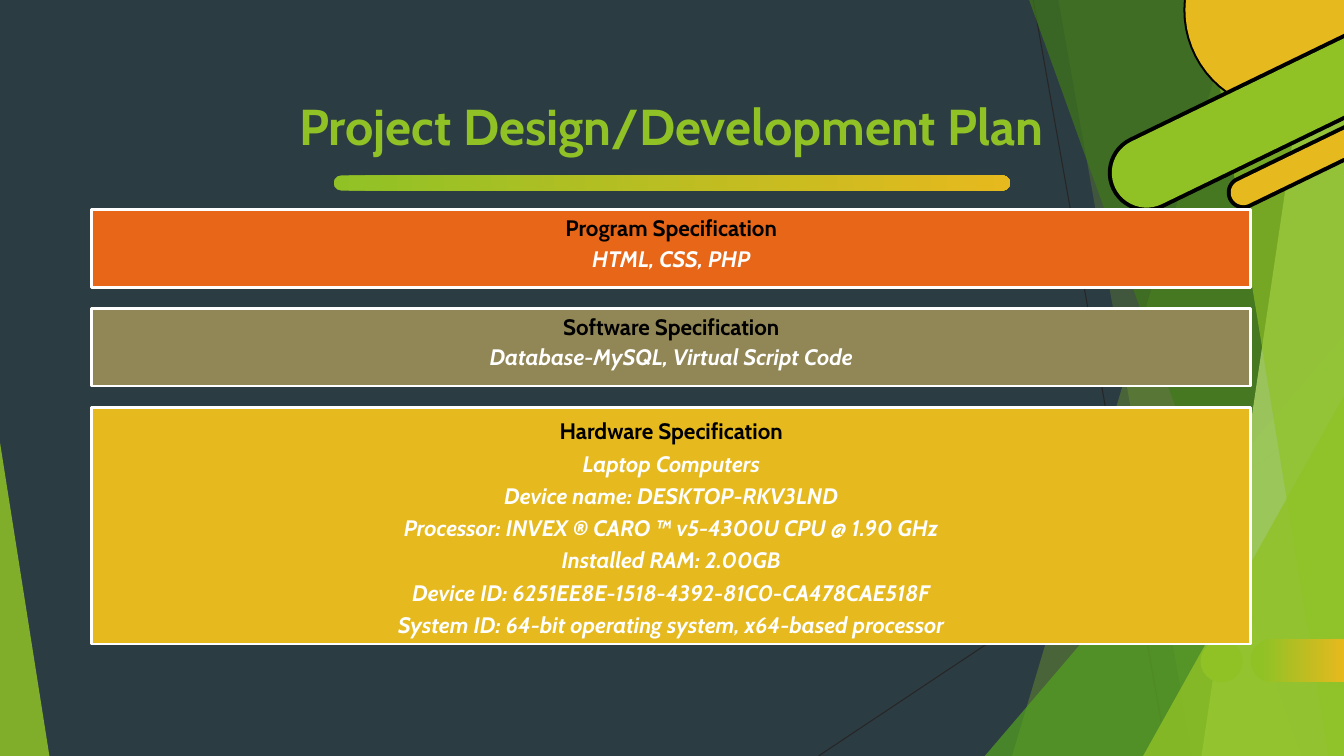
"""Build the project design and development plan slide."""
import math

import pptx
import pptx.dml.color
import pptx.enum.shapes
import pptx.enum.text
import pptx.oxml.ns
import pptx.util
from lxml import etree

THEME = {
    "night": "2C3C43", "lime": "90C226", "leaf": "54A021", "forest": "3F7819", "mint": "C0E474",
    "gold": "E6B91E", "orange": "E76618", "olive": "918655", "black": "000000", "white": "FFFFFF",
    "hairline": "262626", "font": "Cabin", "title": 36, "body": 16,
}
CELL = pptx.util.Inches(0.1)
COLUMNS, ROWS = 133.33, 75
LEFT, SPAN = 9.1, 115
ARC_STEPS = 24
SHAPES = pptx.enum.shapes.MSO_SHAPE
CENTER = pptx.enum.text.PP_ALIGN.CENTER


def color(name):
    return pptx.dml.color.RGBColor.from_string(THEME[name])


def trace(points, name, opacity=100):
    corners = [(round(x * CELL), round(y * CELL)) for x, y in points]
    pen = page.shapes.build_freeform(*corners[0])
    pen.add_line_segments(corners[1:])
    shape = pen.convert_to_shape()
    shape.shadow.inherit = False
    shape.fill.solid()
    shape.fill.fore_color.rgb = color(name)
    shape.line.fill.background()
    if opacity < 100:
        tint = next(shape._element.iter(pptx.oxml.ns.qn("a:srgbClr")))
        etree.SubElement(tint, pptx.oxml.ns.qn("a:alpha"), val=str(opacity * 1000))
    return shape


deck = pptx.Presentation()
deck.slide_width = round(COLUMNS * CELL)
deck.slide_height = ROWS * CELL
page = deck.slides.add_slide(deck.slide_layouts[6])
page.background.fill.solid()
page.background.fill.fore_color.rgb = color("night")

for ends in [(102.5, 0, 115.8, ROWS), (COLUMNS, 40.3, 81.2, ROWS)]:
    hairline = page.shapes.add_connector(
        pptx.enum.shapes.MSO_CONNECTOR.STRAIGHT, *(round(end * CELL) for end in ends))
    hairline.line.color.rgb = color("hairline")
    hairline.line.width = pptx.util.Pt(0.75)
    etree.SubElement(hairline._element.spPr, pptx.oxml.ns.qn("a:effectLst"))

facets = [
    (122.8, 100.4, 0, COLUMNS, "lime", 30),
    (105, 118.3, 0, COLUMNS, "lime", 20),
    (COLUMNS, 97.7, 33.3, COLUMNS, "leaf", 72),
    (102.1, 129.1, 0, COLUMNS, "forest", 70),
    (130.3, 119.2, 0, COLUMNS, "mint", 70),
    (119.6, 131.8, 0, COLUMNS, "lime", 65),
    (COLUMNS, 113.4, 39.3, COLUMNS, "lime", 80),
    (0, 4.9, 43.9, 0, "lime", 85),
]
for peak, foot, top, edge, name, opacity in facets:
    trace([(peak, top), (edge, top), (edge, ROWS), (foot, ROWS)], name, opacity)

for radius, name in [(10.1, "black"), (9.9, "gold")]:
    middle, height = 127.5, 1
    first = math.acos((COLUMNS - middle) / radius)
    last = math.pi + math.asin(height / radius)
    turns = [first + (last - first) * step / ARC_STEPS for step in range(ARC_STEPS + 1)]
    disc = [(middle + radius * math.cos(turn), height + radius * math.sin(turn)) for turn in turns]
    trace(disc + [(COLUMNS, 0)], name)

pills = [
    (113.75, 17.15, 3.85, 25.9, "black"),
    (113.75, 17.15, 3.45, 25.9, "lime"),
    (123.35, 19.1, 1.65, 25.9, "black"),
    (123.35, 19.1, 1.25, 25.9, "gold"),
    (126.2, 65.55, 2.15, 0, "lime"),
]
for middle, height, radius, degrees, name in pills:
    lean = math.radians(degrees)
    turns = [math.pi * (0.5 + step / ARC_STEPS) - lean for step in range(ARC_STEPS + 1)]
    cap = [(middle + radius * math.cos(turn), height + radius * math.sin(turn)) for turn in turns]
    axis_end = height - (COLUMNS - middle) * math.tan(lean)
    reach = radius / math.cos(lean)
    tab = trace([(COLUMNS, axis_end + reach), *cap, (COLUMNS, axis_end - reach)], name)

dot = page.shapes.add_shape(SHAPES.OVAL, *(round(v * CELL) for v in (119.1, 63.5, 4.2, 4.2)))
dot.fill.solid()
dot.fill.fore_color.rgb = color("lime")
underline = page.shapes.add_shape(
    SHAPES.ROUNDED_RECTANGLE, *(round(v * CELL) for v in (33.1, 17.4, 67.1, 1.5)))
underline.adjustments[0] = 0.5
for ornament in (dot, underline):
    ornament.shadow.inherit = False
    ornament.line.fill.background()
for bar, start in [(tab, 0.12), (underline, 0)]:
    bar.fill.gradient()
    bar.fill.gradient_angle = 0
    for stop, name, position in zip(bar.fill.gradient_stops, ("lime", "gold"), (start, 1)):
        stop.color.rgb = color(name)
        stop.position = position

title = page.shapes.add_textbox(*(round(v * CELL) for v in (LEFT, 8.5, SPAN, 7.4)))
title.text_frame.word_wrap = True
title.text_frame.vertical_anchor = pptx.enum.text.MSO_ANCHOR.BOTTOM
para = title.text_frame.paragraphs[0]
para.alignment = CENTER
span = para.add_run()
span.text = "Project Design/Development Plan"
span.font.name = THEME["font"]
span.font.size = pptx.util.Pt(THEME["title"])
span.font.bold = True
span.font.color.rgb = color("lime")

panels = [
    ("orange", 7.7, 1, 2.4, ["Program Specification", "HTML, CSS, PHP"]),
    ("olive", 7.7, 1, 2.4, ["Software Specification", "Database-MySQL, Virtual Script Code"]),
    ("gold", 23.5, 1.2, 0, [
        "Hardware Specification",
        "Laptop Computers",
        "Device name: DESKTOP-RKV3LND",
        "Processor: INVEX ® CARO ™ v5-4300U CPU @ 1.90 GHz",
        "Installed RAM: 2.00GB",
        "Device ID: 6251EE8E-1518-4392-81C0-CA478CAE518F",
        "System ID: 64-bit operating system, x64-based processor"]),
]
for index, (name, height, spacing, gap, lines) in enumerate(panels):
    area = (LEFT, 20.8 + 9.8 * index, SPAN, height)
    box = page.shapes.add_shape(SHAPES.RECTANGLE, *(round(v * CELL) for v in area))
    box.shadow.inherit = False
    box.fill.solid()
    box.fill.fore_color.rgb = color(name)
    box.line.color.rgb = color("white")
    box.line.width = pptx.util.Pt(2)
    frame = box.text_frame
    frame.word_wrap = True
    frame.vertical_anchor = pptx.enum.text.MSO_ANCHOR.TOP
    for number, line in enumerate(lines):
        para = frame.add_paragraph() if number else frame.paragraphs[0]
        para.alignment = CENTER
        para.line_spacing = spacing
        para.space_before = pptx.util.Pt(gap if number else 0)
        span = para.add_run()
        span.text = line
        span.font.name = THEME["font"]
        span.font.size = pptx.util.Pt(THEME["body"])
        span.font.bold = True
        span.font.italic = number > 0
        span.font.color.rgb = color("white" if number else "black")

deck.save("out.pptx")
